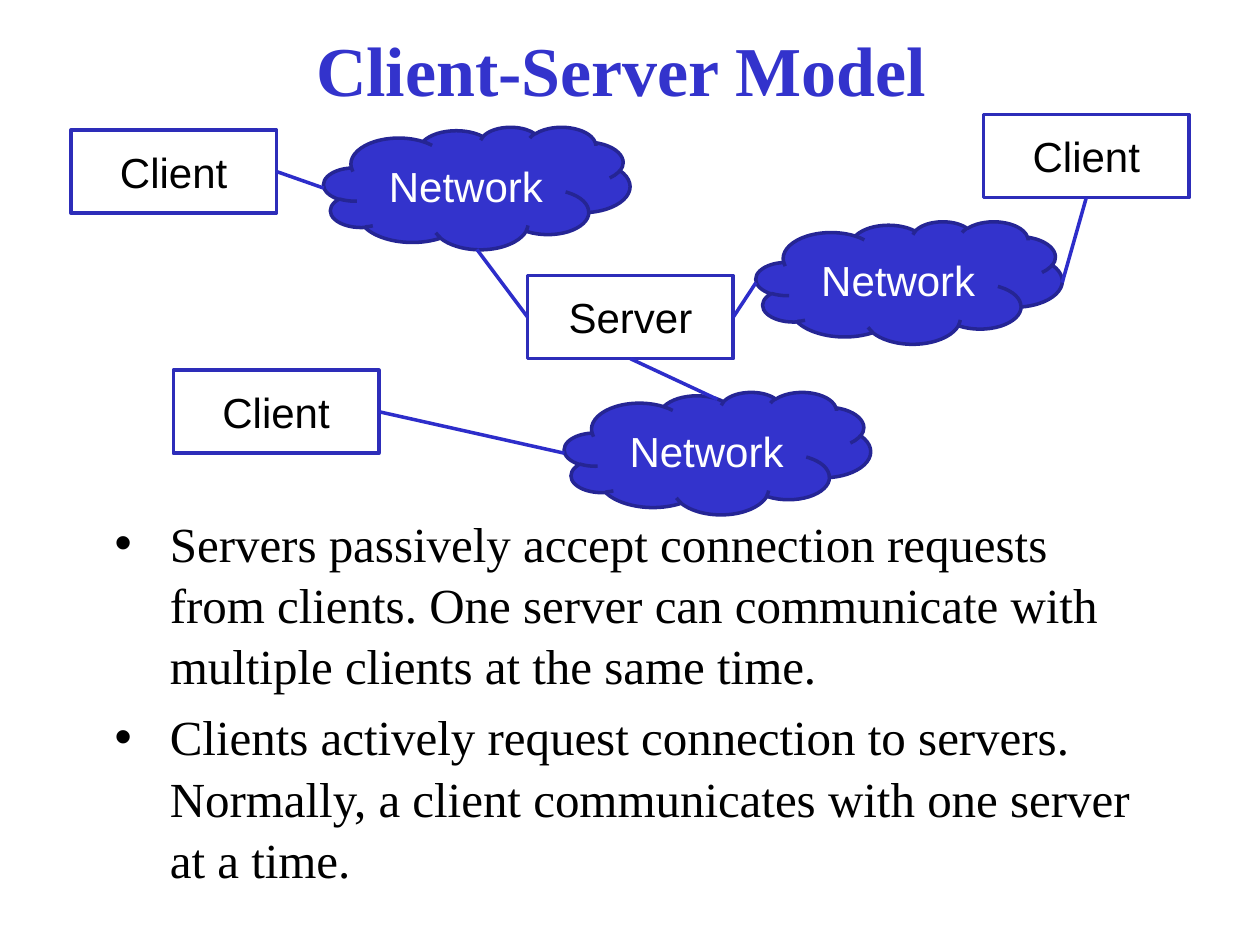
from lxml import etree
from pptx import Presentation
from pptx import util as u
from pptx.dml.color import RGBColor
from pptx.enum import shapes, text
from pptx.oxml.ns import qn

RECTANGLE = shapes.MSO_SHAPE.RECTANGLE
CLOUD = shapes.MSO_SHAPE.CLOUD
SIDES = {"left": (0, 0.5), "right": (1, 0.5), "top": (0.5, 0.06), "bottom": (0.5, 1)}


def color(value):
    return RGBColor.from_string(value)


class Diagram:
    """Draws the elements of a client-server slide in one style."""

    serif, sans = "Times New Roman", "Arial"
    blue, white, black = "3333CC", "FFFFFF", "000000"

    def __init__(self, slide):
        self.slide = slide

    def format(self, paragraph, size, name, ink, bold=False):
        for run in paragraph.runs:
            run.font.size = u.Pt(size)
            run.font.name = name
            run.font.bold = bold
            run.font.color.rgb = color(ink)

    def title(self, wording, left, top, width, height):
        shape = self.slide.shapes.title
        shape.left, shape.top = u.Pt(left), u.Pt(top)
        shape.width, shape.height = u.Pt(width), u.Pt(height)
        frame = shape.text_frame
        frame.text = wording
        frame.vertical_anchor = text.MSO_ANCHOR.MIDDLE
        frame.paragraphs[0].alignment = text.PP_ALIGN.CENTER
        self.format(frame.paragraphs[0], 40, self.serif, self.blue, True)

    def bullets(self, items, left, top, width, height):
        box = self.slide.shapes.add_textbox(*map(u.Pt, (left, top, width, height)))
        frame = box.text_frame
        frame.word_wrap = True
        frame.margin_top = frame.margin_bottom = u.Pt(7.2)
        frame.text = "\n".join(items)
        for paragraph in frame.paragraphs:
            paragraph.space_before = u.Pt(5.6)
            paragraph.line_spacing = 1.04
            self.format(paragraph, 28, self.serif, self.black)
            properties = paragraph._p.get_or_add_pPr()
            properties.set("marL", str(u.Pt(36)))
            properties.set("indent", str(u.Pt(-31.5)))
            etree.SubElement(properties, qn("a:buFont"), typeface=self.sans)
            etree.SubElement(properties, qn("a:buChar"), char="•")

    def node(self, kind, wording, left, top, width, height, fill, line, ink):
        shape = self.slide.shapes.add_shape(kind, *map(u.Pt, (left, top, width, height)))
        shape.shadow.inherit = False
        shape.fill.solid()
        shape.fill.fore_color.rgb = color(fill)
        shape.line.color.rgb = color(line)
        shape.line.width = u.Pt(2)
        frame = shape.text_frame
        frame.text = wording
        frame.vertical_anchor = text.MSO_ANCHOR.MIDDLE
        frame.paragraphs[0].alignment = text.PP_ALIGN.CENTER
        self.format(frame.paragraphs[0], 24, self.sans, ink)
        return shape

    def computer(self, wording, left, top):
        return self.node(RECTANGLE, wording, left, top, 117.5, 47.5,
                         self.white, "2D2DB9", self.black)

    def network(self, left, top):
        return self.node(CLOUD, "Network", left, top, 175, 70,
                         self.blue, "252594", self.white)

    def link(self, start, start_side, end, end_side):
        points = []
        for shape, side in ((start, start_side), (end, end_side)):
            across, down = SIDES[side]
            points += [int(shape.left + across * shape.width),
                       int(shape.top + down * shape.height)]
        line = self.slide.shapes.add_connector(shapes.MSO_CONNECTOR.STRAIGHT, *points)
        line.line.color.rgb = color("2D2DCA")
        line.line.width = u.Pt(2)
        etree.SubElement(line._element.spPr, qn("a:effectLst"))


presentation = Presentation()
presentation.slide_width, presentation.slide_height = u.Pt(720), u.Pt(540)
diagram = Diagram(presentation.slides.add_slide(presentation.slide_layouts[5]))

diagram.title("Client-Server Model ", 54, -5.75, 612, 90)
diagram.bullets([
    "Servers passively accept connection requests from clients. "
    "One server can communicate with multiple clients at the same time.",
    "Clients actively request connection to servers. "
    "Normally, a client communicates with one server at a time.",
], 54, 285, 612, 236)

server = diagram.computer("Server", 301.5, 157.5)
left_client = diagram.computer("Client", 40.5, 74.25)
right_client = diagram.computer("Client", 562, 65.5)
lower_client = diagram.computer("Client", 99, 211.5)
left_network = diagram.network(185, 72.5)
right_network = diagram.network(432, 126.5)
lower_network = diagram.network(322.5, 224)

for ends in (
    (left_client, "right", left_network, "left"),
    (left_network, "bottom", server, "left"),
    (right_client, "bottom", right_network, "right"),
    (right_network, "left", server, "right"),
    (lower_network, "left", lower_client, "right"),
    (server, "bottom", lower_network, "top"),
):
    diagram.link(*ends)

presentation.save("out.pptx")
